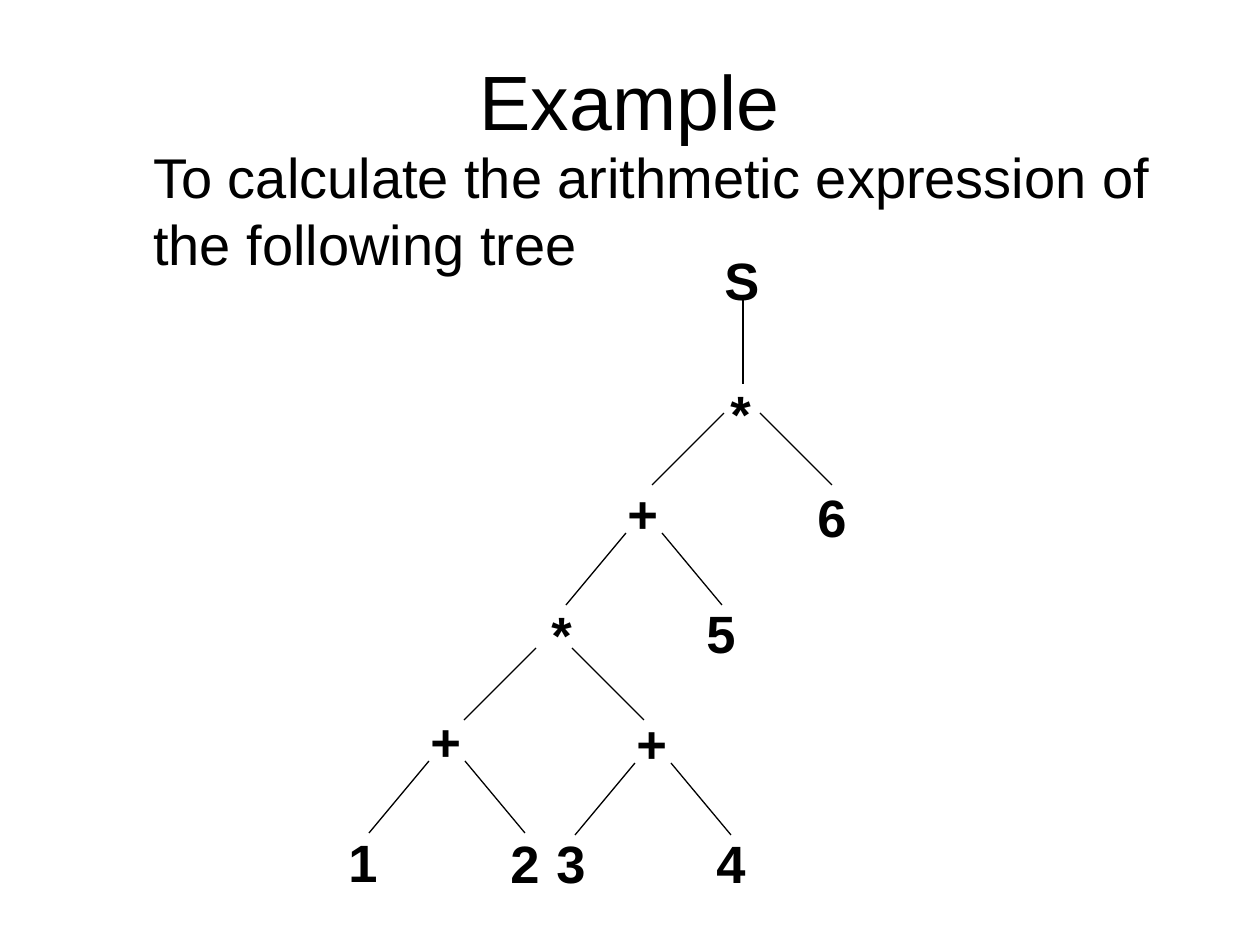
from pptx import Presentation
from pptx import util as u
from pptx.dml.color import RGBColor
from pptx.enum import shapes, text
from pptx.oxml import parse_xml
from pptx.oxml.ns import nsdecls

PX = 914400 / 126
BLACK = "000000"
NODE_SIZE = (132, 76)
BRANCH_GAP = 36
BRANCH_DROP = 72

# Label, left, top of each tree node
NODES = [
    ("S", 712, 242),
    ("*", 718, 375),
    ("+", 615, 475), ("6", 805, 479),
    ("*", 539, 596), ("5", 694, 595),
    ("+", 418, 703), ("+", 624, 705),
    ("1", 336, 824), ("2", 498, 825), ("3", 544, 825), ("4", 704, 825),
]
# Middle, top and sideways reach of each pair of branches
BRANCHES = [
    (742, 413, 72),
    (644, 533, 60),
    (554, 648, 72),
    (447, 761, 60),
    (653, 763, 60),
]


def px(length):
    return u.Emu(round(length * PX))


def color(hex_code):
    return RGBColor.from_string(hex_code)


def write(frame, words, size, bold=False, align=text.PP_ALIGN.LEFT,
          anchor=text.MSO_ANCHOR.TOP, fit=text.MSO_AUTO_SIZE.NONE, indent=0):
    frame.word_wrap = True
    frame.auto_size = fit
    frame.vertical_anchor = anchor
    paragraph = frame.paragraphs[0]
    paragraph.alignment = align
    if indent:
        properties = paragraph._p.get_or_add_pPr()
        properties.set("marL", str(px(indent)))
        properties.set("indent", "0")
    run = paragraph.add_run()
    run.text = words
    run.font.name = "Arial"
    run.font.size = u.Pt(size)
    run.font.bold = bold
    run.font.color.rgb = color(BLACK)


def add_text(slide, words, left, top, width, height, **style):
    box = slide.shapes.add_textbox(px(left), px(top), px(width), px(height))
    write(box.text_frame, words, **style)


def add_title(slide, words):
    title = slide.shapes.title
    title.left, title.top = px(94), px(21)
    title.width, title.height = px(1071), px(158)
    write(title.text_frame, words, size=44, align=text.PP_ALIGN.CENTER,
          anchor=text.MSO_ANCHOR.MIDDLE)


def add_node(slide, label, left, top):
    add_text(slide, label, left, top, *NODE_SIZE, size=30, bold=True,
             fit=text.MSO_AUTO_SIZE.SHAPE_TO_FIT_TEXT)


def add_line(slide, x1, y1, x2, y2):
    line = slide.shapes.add_connector(
        shapes.MSO_CONNECTOR.STRAIGHT, px(x1), px(y1), px(x2), px(y2))
    line.line.color.rgb = color(BLACK)
    line.line.width = u.Pt(0.75)
    line._element.spPr.append(parse_xml(f"<a:effectLst {nsdecls('a')}/>"))


def add_branches(slide, middle, top, reach):
    for side in (-1, 1):
        start = middle + side * BRANCH_GAP / 2
        add_line(slide, start, top, start + side * reach, top + BRANCH_DROP)


def main():
    deck = Presentation()
    deck.slide_width, deck.slide_height = px(1260), px(945)
    slide = deck.slides.add_slide(deck.slide_layouts[5])

    # Heading and task
    add_title(slide, "Example")
    add_text(slide, "To calculate the arithmetic expression of the following tree",
             94, 136, 1071, 567, size=32, indent=47)

    # Expression tree
    add_line(slide, 743, 295, 743, 384)
    for branch in BRANCHES:
        add_branches(slide, *branch)
    for node in NODES:
        add_node(slide, *node)

    deck.save("out.pptx")


if __name__ == "__main__":
    main()
